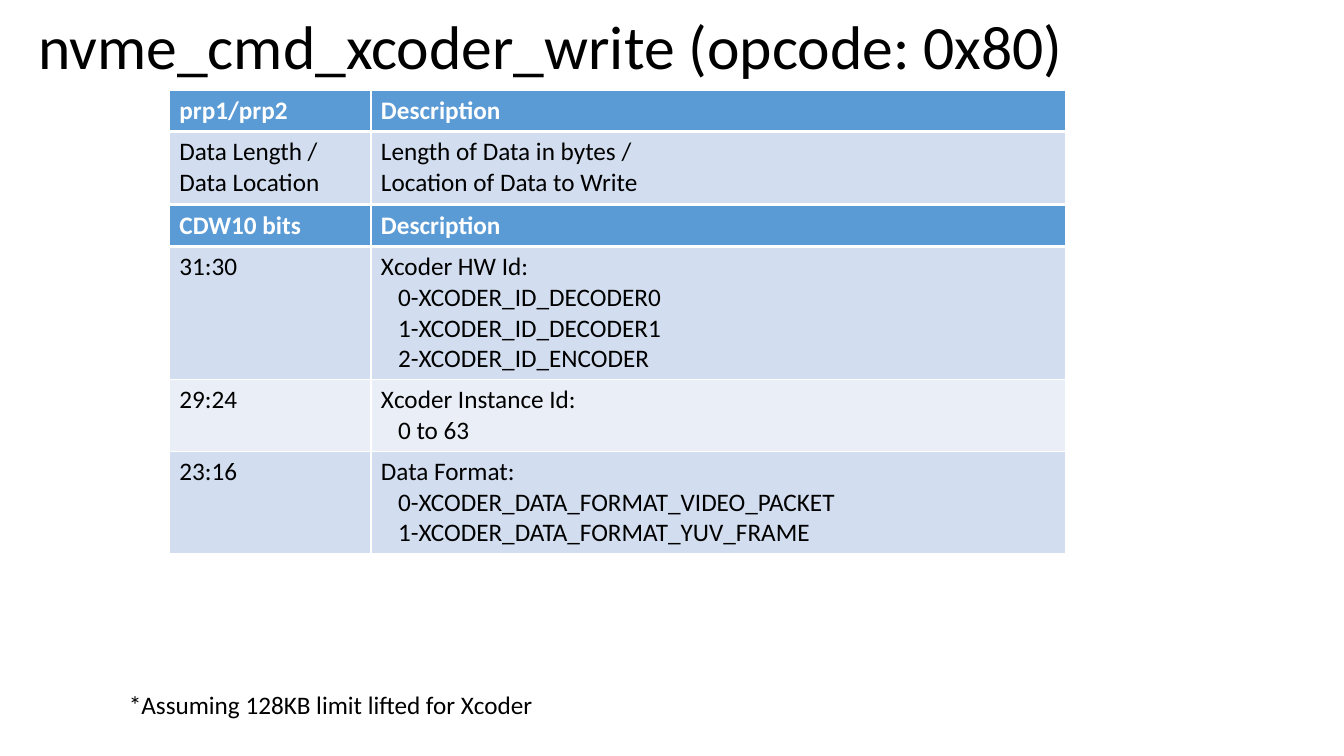
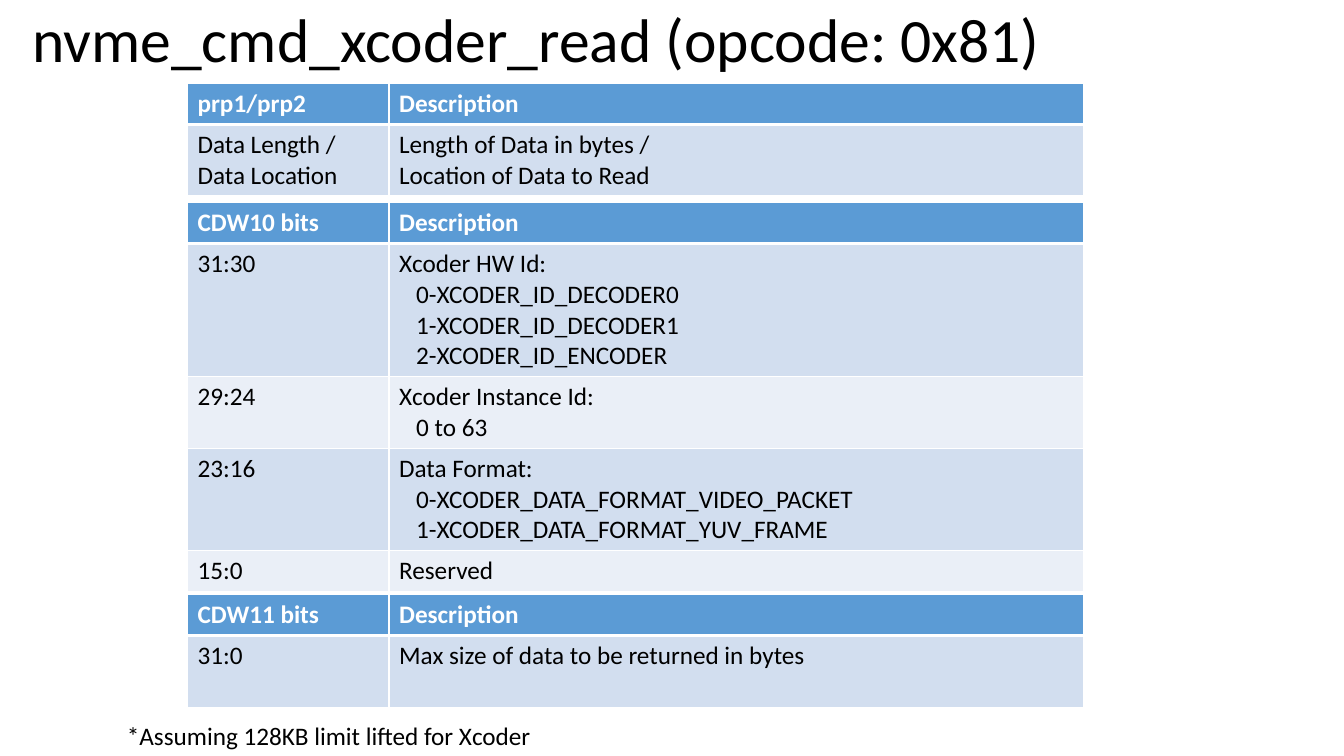
from dataclasses import dataclass
from lxml.etree import SubElement as Sub
from pptx import Presentation as Deck
from pptx.dml.color import RGBColor as RGB
from pptx.enum.text import MSO_ANCHOR as Anchor, PP_ALIGN as Align
from pptx.oxml.ns import qn
from pptx.util import Inches, Pt


@dataclass(frozen=True)
class Theme:
    font: str = "Calibri"
    ink: str = "000000"
    white: str = "FFFFFF"
    head: str = "5B9BD5"
    bands: tuple = ("D2DEEF", "EAEFF7")
    title: int = 44
    body: int = 18
    thin: int = 1
    thick: int = 3
    indent: float = 12.2


def write(frame, lines, theme, size=None, color=None, bold=False, space=None):
    for i, line in enumerate(lines):
        para = frame.paragraphs[0] if i == 0 else frame.add_paragraph()
        para.alignment = Align.LEFT
        para.line_spacing = space
        if line.startswith("\t"):
            props = para._p.get_or_add_pPr()
            props.set("marL", str(Pt(theme.indent)))
            props.set("indent", "0")
        run = para.add_run()
        run.text = line.strip()
        font = run.font
        font.name, font.size, font.bold = theme.font, Pt(size or theme.body), bold
        font.color.rgb = RGB.from_string(color or theme.ink)


class Page:
    wide, high = 13.33, 7.5
    cols = (15, 51.68)
    pad, line = 1.33, 4.07

    def __init__(self, deck, theme):
        self.theme = theme
        self.slide = deck.slides.add_slide(deck.slide_layouts[5])

    def across(self, share):
        return Inches(self.wide * share / 100)

    def down(self, share):
        return Inches(self.high * share / 100)

    def box(self, x, y, w, h):
        return self.across(x), self.down(y), self.across(w), self.down(h)

    def title(self, text, x, y):
        shape = self.slide.shapes.title
        shape.left, shape.top, shape.width, shape.height = self.box(x, y, 86.25, 19.33)
        frame = shape.text_frame
        frame.word_wrap = True
        frame.vertical_anchor = Anchor.MIDDLE
        write(frame, [text], self.theme, size=self.theme.title, space=0.9)

    def note(self, text, x, y, w):
        frame = self.slide.shapes.add_textbox(*self.box(x, y, w, 5.33)).text_frame
        frame.word_wrap = True
        write(frame, [text], self.theme)

    def edge(self, cell, top, base):
        props = cell._tc.get_or_add_tcPr()
        thin = self.theme.thin
        sides = (("L", thin), ("R", thin), ("T", top), ("B", base))
        for i, (side, width) in enumerate(sides):
            line = Sub(props, qn(f"a:ln{side}"), w=str(Pt(width)))
            Sub(Sub(line, qn("a:solidFill")), qn("a:srgbClr"), val=self.theme.white)
            props.insert(i, line)

    def table(self, label, rows, x, y, least=1):
        theme = self.theme
        rows = [(label, ["Description"]), *rows]
        counts = [1] + [max(least, len(lines)) for _, lines in rows[1:]]
        highs = [self.pad + self.line * n for n in counts]
        place = self.box(x, y, sum(self.cols), sum(highs))
        grid = self.slide.shapes.add_table(len(rows), len(self.cols), *place).table
        for col, share in zip(grid.columns, self.cols):
            col.width = self.across(share)
        for r, (key, lines) in enumerate(rows):
            grid.rows[r].height = self.down(highs[r])
            head = r == 0
            shade = theme.head if head else theme.bands[(r - 1) % 2]
            for c, text in enumerate(([key], lines)):
                cell = grid.cell(r, c)
                cell.fill.solid()
                cell.fill.fore_color.rgb = RGB.from_string(shade)
                self.edge(cell, theme.thick if r == 1 else theme.thin,
                          theme.thick if head else theme.thin)
                write(cell.text_frame, text, theme, bold=head,
                      color=theme.white if head else theme.ink)


BITS = [
    ("31:30", ["Xcoder HW Id:", "\t0-XCODER_ID_DECODER0",
               "\t1-XCODER_ID_DECODER1", "\t2-XCODER_ID_ENCODER"]),
    ("29:24", ["Xcoder Instance Id:", "\t0 to 63"]),
    ("23:16", ["Data Format:", "\t0-XCODER_DATA_FORMAT_VIDEO_PACKET",
               "\t1-XCODER_DATA_FORMAT_YUV_FRAME"]),
]
NOTE = "*Assuming 128KB limit lifted for Xcoder"


def data(verb):
    return [("Data Length / Data Location",
             ["Length of Data in bytes /", f"Location of Data to {verb}"])]


deck = Deck()
deck.slide_width, deck.slide_height = Inches(Page.wide), Inches(Page.high)
theme = Theme()

page = Page(deck, theme)
page.title("nvme_cmd_xcoder_write (opcode: 0x80)", 2.1, -3.07)
page.table("CDW10 bits", BITS, 12.6, 27.2)
page.note(NOTE, 8.85, 90.53, 62.85)
page.table("prp1/prp2", data("Write"), 12.6, 12)

page = Page(deck, theme)
page.title("nvme_cmd_xcoder_read (opcode: 0x81)", 1.65, -4)
page.table("CDW10 bits", BITS + [("15:0", ["Reserved"])], 13.95, 26.8)
page.note(NOTE, 8.7, 94.67, 73.65)
page.table("prp1/prp2", data("Read"), 13.95, 11.07)
page.table("CDW11 bits", [("31:0", ["Max size of data to be returned in bytes"])],
           13.95, 78.67, least=2)

deck.save("out.pptx")
